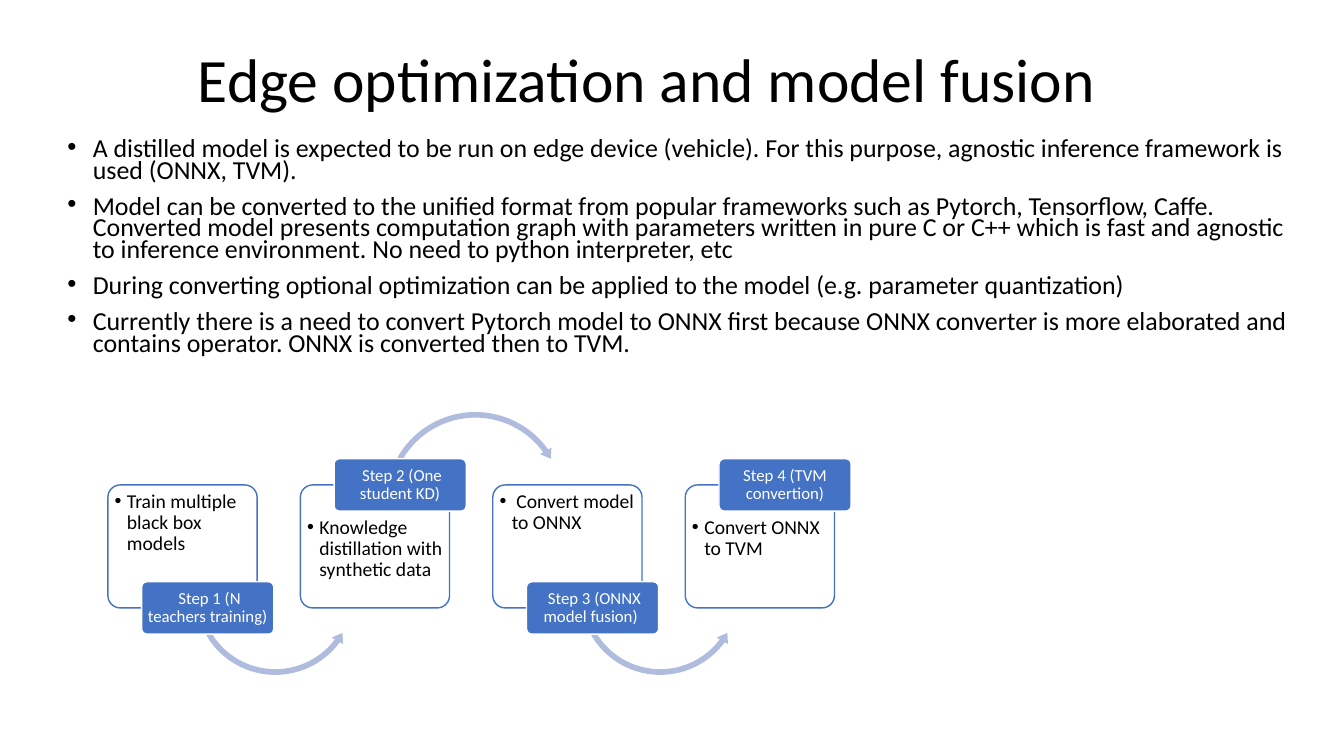
from lxml import etree
from pptx import Presentation
from pptx import util as u
from pptx.dml.color import RGBColor
from pptx.enum import shapes, text
from pptx.oxml.ns import qn

COLORS = {"ink": "000000", "paper": "FFFFFF", "blue": "4472C4", "arrow": "B0BCDE"}
FONT = "Calibri"

POINTS = [
    "A distilled model is expected to be run on edge device (vehicle). For this purpose, "
    "agnostic inference framework is used (ONNX, TVM). ",
    "Model can be converted to the unified format from popular frameworks such as Pytorch, "
    "Tensorflow, Caffe. Converted model presents computation graph with parameters written in "
    "pure C or C++ which is fast and agnostic to inference environment. No need to python "
    "interpreter, etc",
    "During converting optional optimization can be applied to the model "
    "(e.g. parameter quantization)",
    "Currently there is a need to convert Pytorch model to ONNX first because ONNX converter is "
    "more elaborated and contains operator. ONNX is converted then to TVM.",
]

STEPS = [
    (" Step 1 (N teachers training)", "Train multiple black box models"),
    (" Step 2 (One student KD)", "Knowledge distillation with synthetic data"),
    (" Step 3 (ONNX model fusion) ", " Convert model to ONNX"),
    ("Step 4 (TVM convertion)", "Convert ONNX to TVM"),
]

# Step cards, in centimetres
CARD_LEFT, CARD_TOP, CARD_WIDTH, CARD_HEIGHT, CARD_PITCH = 2.72, 12.22, 3.76, 3.1, 4.85
LABEL_SHIFT, LABEL_WIDTH, LABEL_HEIGHT = 0.85, 3.33, 1.32

# Arc arrows: preset, shift from the card, top, size, adjustments
ARC_BELOW = (shapes.MSO_SHAPE.LEFT_CIRCULAR_ARROW, 2.11, 12.88, 4.22,
             (0.034, 4.155, 21.91, 90.245, 0.039))
ARC_ABOVE = (shapes.MSO_SHAPE.CIRCULAR_ARROW, 2.06, 10.29, 4.7,
             (0.03, 3.701, 194.543, 125.755, 0.035))


def color(name):
    return RGBColor.from_string(COLORS[name])


class Deck:
    """Holds the style and the current slide."""

    def __init__(self):
        self.presentation = Presentation()
        self.presentation.slide_width = u.Cm(33.87)
        self.presentation.slide_height = u.Cm(19.05)
        self.slide = self.presentation.slides.add_slide(self.presentation.slide_layouts[6])

    def set_text(self, shape, paragraphs, size, ink="ink", spacing=0.9, bullet_indent=None,
                 centred=False, middle=False, insets=(0.25, 0.13, 0.25, 0.13)):
        """Fill a shape with text; insets are left, top, right, bottom in cm."""
        frame = shape.text_frame
        frame.word_wrap = True
        frame.vertical_anchor = text.MSO_ANCHOR.MIDDLE if middle else text.MSO_ANCHOR.TOP
        (frame.margin_left, frame.margin_top,
         frame.margin_right, frame.margin_bottom) = map(u.Cm, insets)
        for index, words in enumerate(paragraphs):
            paragraph = frame.add_paragraph() if index else frame.paragraphs[0]
            if bullet_indent:
                self.add_bullet(paragraph, bullet_indent)
            paragraph.alignment = text.PP_ALIGN.CENTER if centred else text.PP_ALIGN.LEFT
            paragraph.line_spacing = spacing
            paragraph.space_before = u.Pt(10 if index else 0)
            run = paragraph.add_run()
            run.text = words
            run.font.name = FONT
            run.font.size = u.Pt(size)
            run.font.color.rgb = color(ink)

    def add_bullet(self, paragraph, indent):
        properties = paragraph._p.get_or_add_pPr()
        properties.set("marL", str(u.Cm(indent)))
        properties.set("indent", str(-u.Cm(indent)))
        etree.SubElement(properties, qn("a:buFont")).set("typeface", "Arial")
        etree.SubElement(properties, qn("a:buChar")).set("char", "•")

    def text_box(self, left, top, width, height, paragraphs, size, **style):
        box = self.slide.shapes.add_textbox(*map(u.Cm, (left, top, width, height)))
        self.set_text(box, paragraphs, size, **style)

    def preset(self, kind, left, top, width, height, adjustments, fill, line=None):
        shape = self.slide.shapes.add_shape(kind, *map(u.Cm, (left, top, width, height)))
        shape.shadow.inherit = False
        for index, value in enumerate(adjustments):
            shape.adjustments[index] = value
        shape.fill.solid()
        shape.fill.fore_color.rgb = color(fill)
        if line:
            shape.line.color.rgb = color(line)
            shape.line.width = u.Pt(1)
        else:
            shape.line.fill.background()
        return shape

    def card(self, left, words, label_above):
        card = self.preset(shapes.MSO_SHAPE.ROUNDED_RECTANGLE, left, CARD_TOP,
                           CARD_WIDTH, CARD_HEIGHT, [0.1], "paper", "blue")
        fill_color = card._element.spPr.find(qn("a:solidFill"))[0]
        etree.SubElement(fill_color, qn("a:alpha")).set("val", "90000")
        top, bottom = (0.72, 0.08) if label_above else (0.08, 0.72)
        self.set_text(card, [words], 14, bullet_indent=0.31, insets=(0.08, top, 0.08, bottom))

    def label(self, left, words, above):
        """Add a step label centred on the upper or lower edge of its card."""
        edge = CARD_TOP if above else CARD_TOP + CARD_HEIGHT
        label = self.preset(shapes.MSO_SHAPE.ROUNDED_RECTANGLE, left + LABEL_SHIFT,
                            edge - LABEL_HEIGHT / 2, LABEL_WIDTH, LABEL_HEIGHT,
                            [0.1], "blue", "paper")
        self.set_text(label, [words], 12, ink="paper", centred=True, middle=True,
                      insets=(0.07, 0.05, 0.07, 0.05))

    def arc(self, left, above):
        kind, shift, top, size, adjustments = ARC_ABOVE if above else ARC_BELOW
        self.preset(kind, left + shift, top, size, size, adjustments, "arrow")


def main():
    deck = Deck()
    deck.text_box(1.7, 0.23, 29.21, 3.68, ["Edge optimization and model fusion"], 44,
                  centred=True, middle=True)
    deck.text_box(1.45, 3.4, 31.75, 5.99, POINTS, 18.5, spacing=0.7, bullet_indent=0.64)
    for index, (step, task) in enumerate(STEPS):
        left = CARD_LEFT + index * CARD_PITCH
        above = index % 2 == 1
        deck.card(left, task, above)
        if index < len(STEPS) - 1:
            deck.arc(left, above)
        deck.label(left, step, above)
    deck.presentation.save("out.pptx")


if __name__ == "__main__":
    main()
